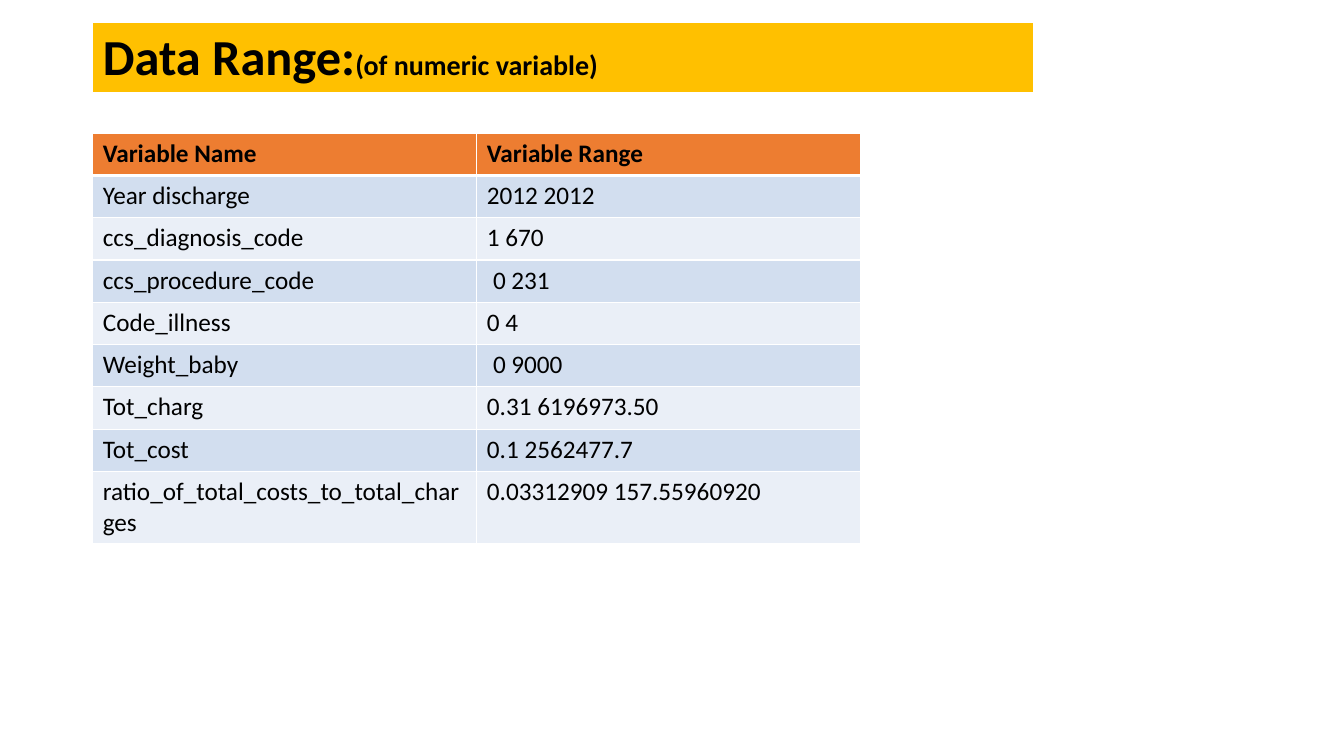
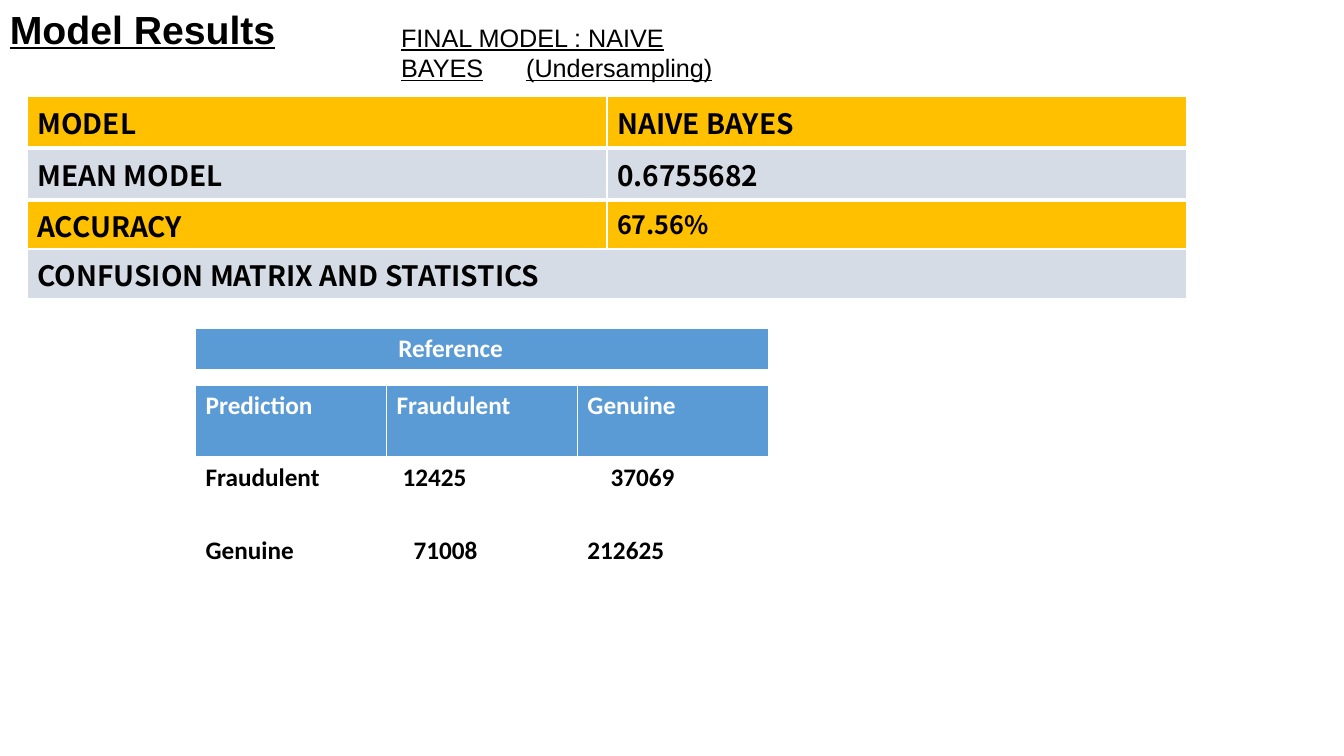
from lxml import etree
from pptx import Presentation
from pptx.dml.color import RGBColor
from pptx.enum.text import MSO_AUTO_SIZE
from pptx.oxml.ns import qn
from pptx.util import Inches, Pt

FIT_SHAPE = MSO_AUTO_SIZE.SHAPE_TO_FIT_TEXT
BLANK = 6
COLORS = {
    "ink": "000000", "white": "FFFFFF", "gold": "FFC000", "gray": "D6DCE5",
    "orange": "ED7D31", "blue": "5B9BD5", "band": "D2DEEF", "pale": "EAEFF7",
}
SANS, BODY, WIDE = "Arial", "Calibri", "Noto Sans CJK KR"
THIN, THICK = 1, 3


def rgb(name):
    return RGBColor.from_string(COLORS[name])


class Deck:
    def __init__(self):
        self.prs = Presentation()
        self.prs.slide_width = Inches(13.33)
        self.prs.slide_height = Inches(7.5)
        self.slide = None

    def page(self):
        layout = self.prs.slide_layouts[BLANK]
        self.slide = self.prs.slides.add_slide(layout)

    def run(self, para, text, size, font, color="ink", bold=False, line=False):
        run = para.add_run()
        run.text = text
        style = run.font
        style.name, style.size = font, Pt(size)
        style.bold, style.underline = bold, line
        style.color.rgb = rgb(color)

    def label(self, box, text, size, bold=False, tab=None):
        """Add underlined text; tab is the place of a tab stop in inches."""
        shape = self.slide.shapes.add_textbox(*map(Inches, box))
        frame = shape.text_frame
        frame.word_wrap = True
        frame.auto_size = FIT_SHAPE
        para = frame.paragraphs[0]
        self.run(para, text, size, SANS, bold=bold, line=True)
        if tab:
            stops = etree.SubElement(para._p.get_or_add_pPr(), qn("a:tabLst"))
            etree.SubElement(stops, qn("a:tab"), pos=str(Inches(tab)), algn="l")

    def edge(self, cell, top, bottom):
        """Draw white borders, which must come before the fill in the XML."""
        props = cell._tc.get_or_add_tcPr()
        sides = {"L": THIN, "R": THIN, "T": top, "B": bottom}
        for spot, (side, width) in enumerate(sides.items()):
            line = etree.Element(qn(f"a:ln{side}"), w=str(Pt(width)))
            fill = etree.SubElement(line, qn("a:solidFill"))
            etree.SubElement(fill, qn("a:srgbClr"), val=COLORS["white"])
            props.insert(spot, line)

    def table(self, left, top, width, height, rows, fills, font=BODY, size=18,
              head="ink", plain=False, pads=None):
        """Add a table of even columns and rows of the given height.

        A cell is a string or a list of (text, size) runs. With plain, only
        the first row is bold. pads maps (row, column) to a left margin.
        """
        count = len(rows[0])
        frame = self.slide.shapes.add_table(
            len(rows), count, Inches(left), Inches(top),
            Inches(width), Inches(height * len(rows)))
        grid = frame.table
        grid.first_row = grid.horz_banding = False
        for col in grid.columns:
            col.width = Inches(width / count)
        for r, (row, fill) in enumerate(zip(rows, fills)):
            grid.rows[r].height = Inches(height)
            for c, item in enumerate(row):
                cell = grid.cell(r, c)
                cell.fill.solid()
                cell.fill.fore_color.rgb = rgb(fill)
                self.edge(cell, THICK if r == 1 else THIN,
                          THICK if r == 0 else THIN)
                if pads and (r, c) in pads:
                    cell.margin_left = Inches(pads[r, c])
                runs = [(item, size)] if isinstance(item, str) else item
                for text, points in runs:
                    self.run(cell.text_frame.paragraphs[0], text, points, font,
                             "ink" if r else head, r == 0 or not plain)


def ranges(deck):
    deck.page()
    rows = [
        ("Variable Name", "Variable Range"),
        ("Year discharge", "2012 2012"),
        ("ccs_diagnosis_code", "1 670"),
        ("ccs_procedure_code", "0 231"),
        ("Code_illness", "0 4"),
        ("Weight_baby", "0 9000"),
        ("Tot_charg", "0.31 6196973.50"),
        ("Tot_cost", "0.1 2562477.7"),
        ("ratio_of_total_costs_to_total_charges", "0.03312909 157.55960920"),
    ]
    fills = ["orange"] + ["band", "pale"] * 4
    deck.table(0.92, 1.32, 7.62, 0.42, rows, fills, plain=True,
               pads={(3, 1): 0.16, (5, 1): 0.16})
    title = [("Data Range:", 36), ("(of numeric variable)", 20)]
    deck.table(0.92, 0.22, 9.33, 0.7, [[title]], ["gold"])


def results(deck):
    deck.page()
    bands = [
        (0.96, 0.43, [("MODEL", "NAIVE BAYES")], ["gold"]),
        (1.48, 0.43, [("MEAN MODEL", "0.6755682"),
                      ("ACCURACY", [("67.56%", 18)])], ["gray", "gold"]),
        (2.47, 0.4, [("CONFUSION MATRIX AND STATISTICS",)], ["gray"]),
    ]
    for top, height, rows, fills in bands:
        deck.table(0.27, top, 11.5, height, rows, fills, WIDE, 20)

    deck.table(1.94, 3.26, 5.68, 0.42, [("Reference",)], ["blue"],
               head="white", pads={(0, 0): 2.01})
    matrix = [
        ("Prediction", "Fraudulent", "Genuine"),
        ("Fraudulent", "12425", "37069"),
        ("Genuine", "71008", "212625"),
    ]
    deck.table(1.94, 3.82, 5.68, 0.72, matrix, ["blue", "white", "white"],
               head="white", pads={(1, 1): 0.16, (1, 2): 0.33, (2, 1): 0.27})

    deck.label((0, 0, 4.14, 0.57), "Model Results", 28, bold=True)
    deck.label((3.88, 0.17, 3.38, 0.71),
               "FINAL MODEL : NAIVE BAYES\t(Undersampling)", 18, tab=1.24)


def main():
    deck = Deck()
    ranges(deck)
    results(deck)
    deck.prs.save("out.pptx")


if __name__ == "__main__":
    main()
